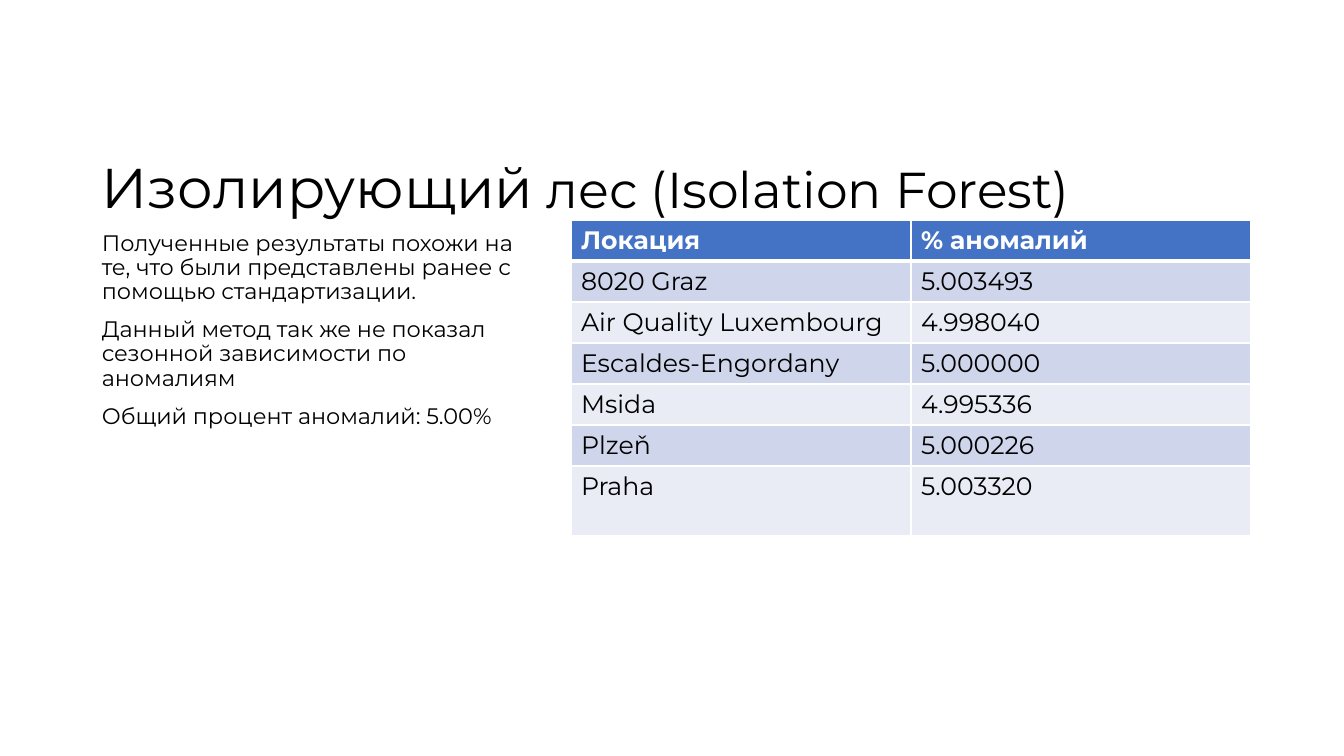
from lxml import etree
from pptx import Presentation
from pptx.dml.color import RGBColor
from pptx.enum.text import MSO_ANCHOR
from pptx.oxml.ns import qn
from pptx.util import Pt

TOP, BOTTOM = MSO_ANCHOR.TOP, MSO_ANCHOR.BOTTOM
PX = 914400 / 100.8
BLACK, WHITE, BLUE = "000000", "FFFFFF", "4472C4"
BANDS = ["CFD5EA", "E9EBF5"]


def rgb(color):
    return RGBColor.from_string(color)


def add_run(paragraph, text, size, color=BLACK, bold=False):
    run = paragraph.add_run()
    run.text = text
    run.font.color.rgb = rgb(color)
    for key, value in {"name": "Montserrat", "size": Pt(size), "bold": bold}.items():
        setattr(run.font, key, value)


prs = Presentation()
prs.slide_width, prs.slide_height = round(1344 * PX), round(756 * PX)
slide = prs.slides.add_slide(prs.slide_layouts[6])

# Title and conclusions: left, top, width, height, anchor, paragraphs of runs
text_blocks = [
    (92, 50, 1077, 176, BOTTOM, [
        [("Изолирующий", 40), (" лес (Isolation Forest)", 36)],
    ]),
    (92, 227, 433, 420, TOP, [
        [("Полученные результаты похожи на те, что были представлены ранее "
          "с помощью стандартизации.", 16)],
        [("Данный метод так же не показал сезонной зависимости по аномалиям", 16)],
        [("Общий процент аномалий: 5.00%", 16)],
    ]),
]
for *box, anchor, paragraphs in text_blocks:
    frame = slide.shapes.add_textbox(*[round(v * PX) for v in box]).text_frame
    frame.word_wrap = True
    frame.vertical_anchor = anchor
    for i, runs in enumerate(paragraphs):
        paragraph = frame.paragraphs[0] if i == 0 else frame.add_paragraph()
        paragraph.line_spacing = 0.9
        paragraph.space_before = Pt(10 if i else 0)
        for text, size in runs:
            add_run(paragraph, text, size)

# Share of anomalies by location
anomalies = [
    ("Локация", "% аномалий"),
    ("8020 Graz", "5.003493"),
    ("Air Quality Luxembourg", "4.998040"),
    ("Escaldes-Engordany", "5.000000"),
    ("Msida", "4.995336"),
    ("Plzeň", "5.000226"),
    ("Praha", "5.003320"),
]
ROW_HEIGHT, LAST_HEIGHT = 41, 70
table_height = ROW_HEIGHT * (len(anomalies) - 1) + LAST_HEIGHT
table = slide.shapes.add_table(
    len(anomalies), 2, *[round(v * PX) for v in (571, 220, 680, table_height)]).table
for r, values in enumerate(anomalies):
    header = r == 0
    last = r == len(anomalies) - 1
    table.rows[r].height = round((LAST_HEIGHT if last else ROW_HEIGHT) * PX)
    for c, value in enumerate(values):
        cell = table.cell(r, c)
        add_run(cell.text_frame.paragraphs[0], value, 18, WHITE if header else BLACK, header)

        # White borders, thicker between header and body
        props = cell._tc.get_or_add_tcPr()
        widths = {"a:lnL": 1, "a:lnR": 1, "a:lnT": 3 if r == 1 else 1, "a:lnB": 3 if header else 1}
        for side, width in widths.items():
            line = etree.SubElement(props, qn(side), w=str(Pt(width)))
            etree.SubElement(etree.SubElement(line, qn("a:solidFill")), qn("a:srgbClr"), val=WHITE)

        cell.fill.solid()
        cell.fill.fore_color.rgb = rgb(BLUE if header else BANDS[(r - 1) % 2])

prs.save("out.pptx")
